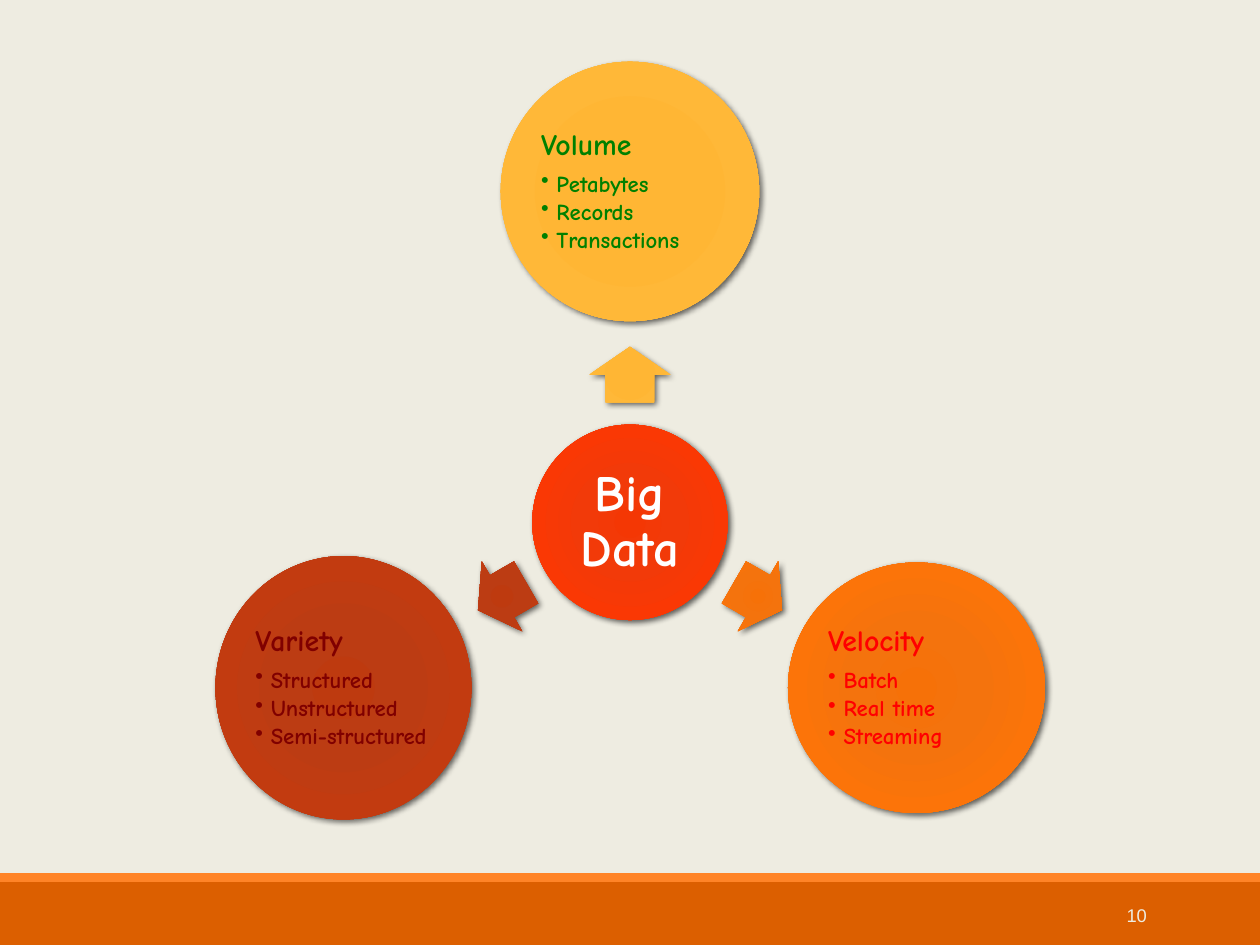
from dataclasses import dataclass
from math import cos, radians, sin

from pptx import Presentation
from pptx.dml.color import RGBColor
from pptx.enum.shapes import MSO_SHAPE as Kind
from pptx.enum.text import MSO_ANCHOR as Anchor, PP_ALIGN as Align
from pptx.oxml import parse_xml
from pptx.oxml.ns import nsdecls, qn
from pptx.util import Cm, Pt

HUB = (12.7, 10.53)
ORBIT = 6.67
REACH = 2.98
INNER = 0.707  # side of the box inscribed in a circle
FONT = "Comic Neue"
HUB_HUES = ("F43704", "F23A09", "FA3804", "F24618")


@dataclass
class Topic:
    title: str
    items: tuple[str, ...]
    angle: int
    size: tuple[float, float]
    hues: tuple[str, ...]
    ink: str


TOPICS = (
    Topic("Volume", ("Petabytes", "Records", "Transactions"), 270, (5.21, 5.23),
          ("FFB531", "FFB634", "FFB838", "FFBD47"), "008000"),
    Topic("Velocity", ("Batch", "Real time", "Streaming"), 30, (5.18, 5.05),
          ("F67108", "F4730D", "FC7409", "F47C1D"), "FF0000"),
    Topic("Variety", ("Structured", "Unstructured", "Semi-structured"), 150, (5.16, 5.31),
          ("BE3A0F", "BC3C13", "C23B10", "BD451F"), "800000"),
)


def paint(fill, hue: str) -> None:
    fill.solid()
    fill.fore_color.rgb = RGBColor.from_string(hue)


def frame(mid: tuple[float, float], size: tuple[float, float]) -> list:
    """Left, top, width and height of a box centred on mid."""
    return [Cm(m - s / 2) for m, s in zip(mid, size)] + [Cm(s) for s in size]


def polar(angle: int, dist: float) -> tuple[float, float]:
    """Point at a clockwise angle and distance from the hub."""
    turn = radians(angle)
    return HUB[0] + dist * cos(turn), HUB[1] + dist * sin(turn)


def add_bar(slide, top: float, high: float, hue: str) -> None:
    bar = slide.shapes.add_shape(Kind.RECTANGLE, 0, Cm(top), Cm(25.4), Cm(high))
    bar.shadow.inherit = False
    paint(bar.fill, hue)
    bar.line.fill.background()


def add_glow(slide, kind, mid, size, hues: tuple[str, ...]):
    """Shape with a radial gradient and a soft shadow."""
    shape = slide.shapes.add_shape(kind, *frame(mid, size))
    shape.line.fill.background()
    shape.shadow.inherit = False
    props = shape._element.spPr
    stops = "".join(
        f'<a:gs pos="{pos}000"><a:srgbClr val="{hue}"/></a:gs>'
        for pos, hue in zip((0, 34, 70, 100), hues))
    props.find(qn("a:prstGeom")).addnext(parse_xml(
        f'<a:gradFill {nsdecls("a")} rotWithShape="1"><a:gsLst>{stops}</a:gsLst>'
        '<a:path path="circle"><a:fillToRect l="100000" t="100000" r="100000" b="100000"/>'
        '</a:path></a:gradFill>'))
    props.find(qn("a:effectLst")).append(parse_xml(
        f'<a:outerShdw {nsdecls("a")} blurRad="{Pt(3.5)}" dist="{Pt(2)}" dir="2700000">'
        '<a:srgbClr val="000000"><a:alpha val="60000"/></a:srgbClr></a:outerShdw>'))
    return shape


def add_box(slide, mid, size, inset: tuple[float, float]):
    box = slide.shapes.add_textbox(*frame(mid, size)).text_frame
    box.word_wrap = True
    box.vertical_anchor = Anchor.MIDDLE
    box.margin_left = box.margin_right = Cm(inset[0])
    box.margin_top = box.margin_bottom = Cm(inset[1])
    return box


def add_run(para, text: str, size: float, hue: str, face: str = FONT) -> None:
    run = para.add_run()
    run.text = text
    run.font.name = face
    run.font.size = Pt(size)
    run.font.bold = face == FONT
    run.font.color.rgb = RGBColor.from_string(hue)


def space(para, after: float) -> None:
    para.line_spacing = 0.9
    para.space_after = Pt(after)


def add_bullet(para) -> None:
    para.level = 1
    props = para._p.get_or_add_pPr()
    props.set("marL", str(Cm(0.31)))
    props.set("indent", str(-Cm(0.31)))
    props.append(parse_xml(f'<a:buChar {nsdecls("a")} char="•"/>'))


def add_hub(slide) -> None:
    side = 3.94
    add_glow(slide, Kind.OVAL, HUB, (side, side), HUB_HUES)
    box = add_box(slide, HUB, (side * INNER, side * INNER), (0.1, 0.1))
    para = box.paragraphs[0]
    para.alignment = Align.CENTER
    space(para, 10)
    add_run(para, "Big Data", 29, "FFFFFF")


def add_topic(slide, topic: Topic) -> None:
    arrow = add_glow(slide, Kind.RIGHT_ARROW, polar(topic.angle, REACH),
                     (1.12, 1.63), topic.hues)
    arrow.adjustments[0], arrow.adjustments[1] = 0.6, 0.5
    arrow.rotation = topic.angle
    mid = polar(topic.angle, ORBIT)
    add_glow(slide, Kind.OVAL, mid, topic.size, topic.hues)
    wide, high = topic.size
    box = add_box(slide, mid, (wide * INNER, high * INNER), (0.05, 0.05))
    head = box.paragraphs[0]
    space(head, 6)
    add_run(head, topic.title, 17, topic.ink)
    for item in topic.items:
        para = box.add_paragraph()
        add_bullet(para)
        space(para, 2)
        add_run(para, item, 13, topic.ink)


def main() -> None:
    deck = Presentation()
    deck.slide_width, deck.slide_height = Cm(25.4), Cm(19.05)
    slide = deck.slides.add_slide(deck.slide_layouts[6])
    paint(slide.background.fill, "EEECE1")
    add_bar(slide, 17.78, 1.27, "DC5F00")
    add_bar(slide, 17.6, 0.18, "FF8427")
    add_hub(slide)
    for topic in TOPICS:
        add_topic(slide, topic)
    para = add_box(slide, (22, 18.44), (2.74, 1.02), (0.25, 0.13)).paragraphs[0]
    para.alignment = Align.RIGHT
    add_run(para, "10", 10.5, "EEECE1", "Arial")
    deck.save("out.pptx")


if __name__ == "__main__":
    main()
